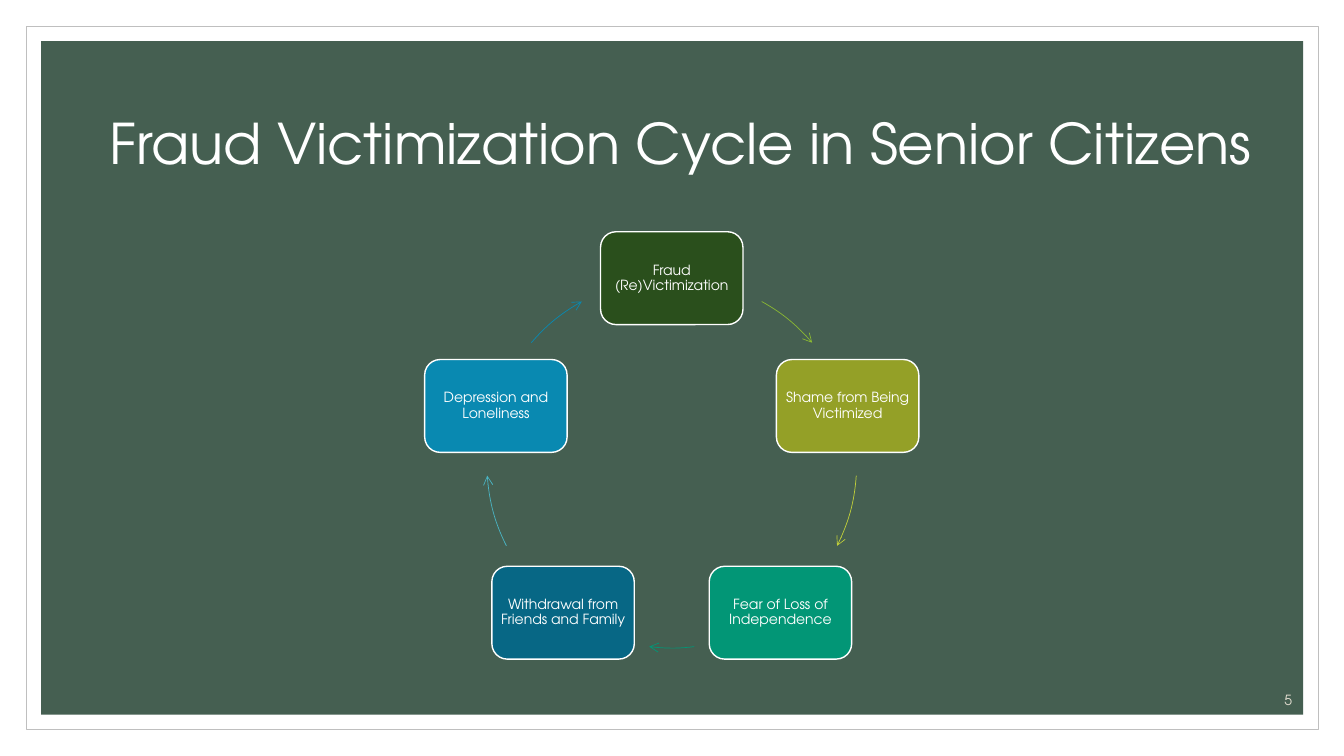
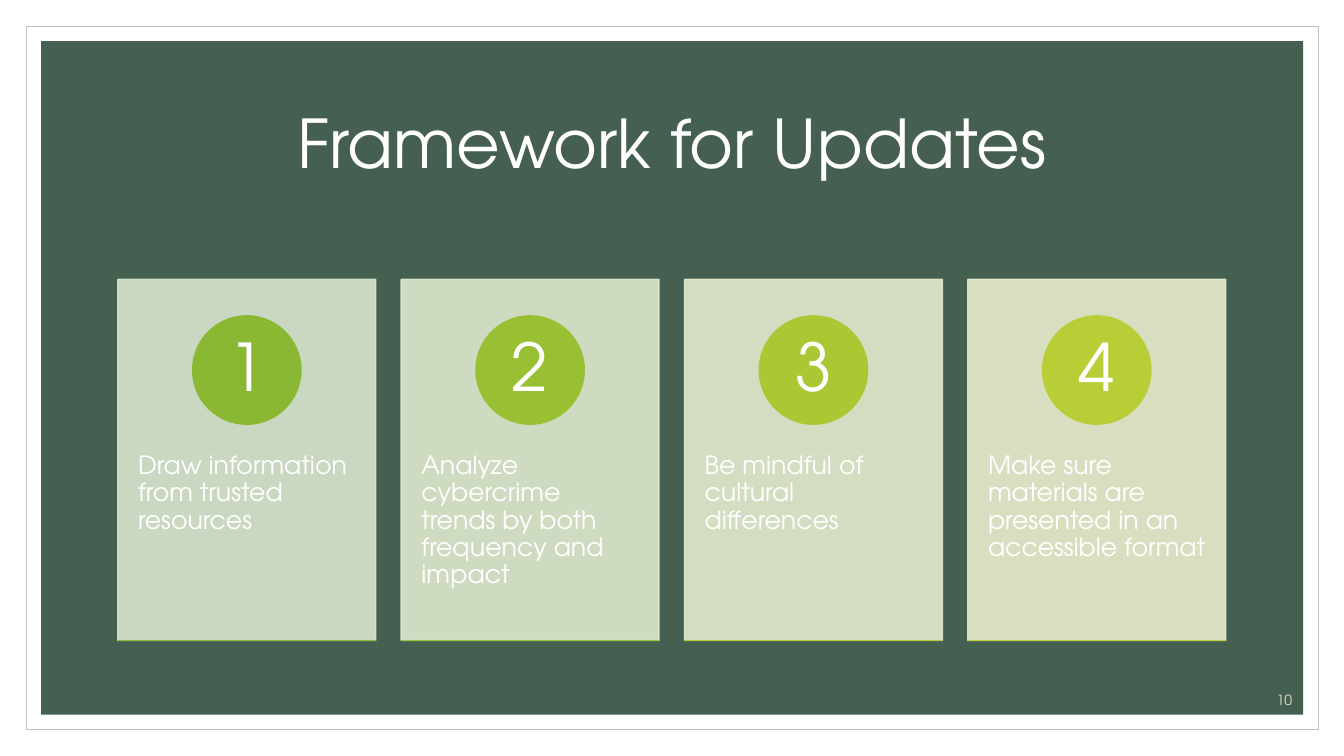
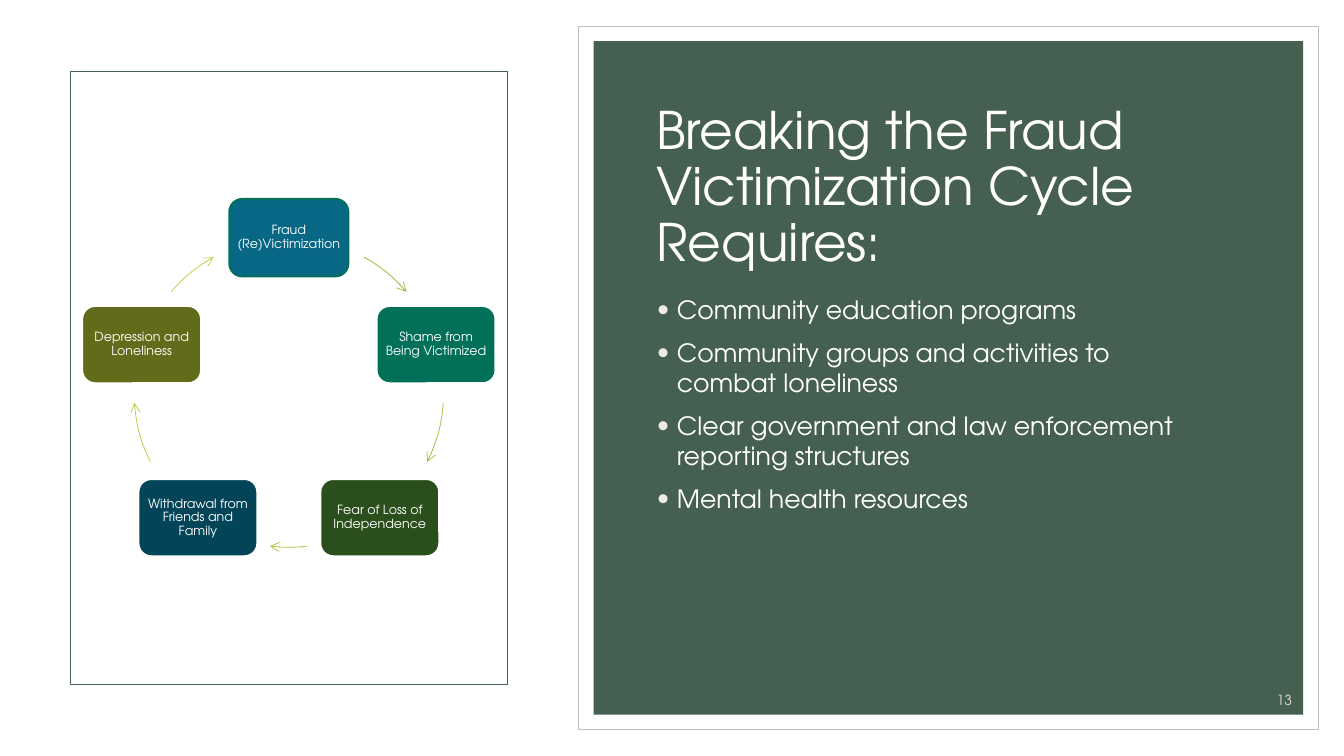
from dataclasses import dataclass
from math import cos, radians, sin, tan

from lxml.etree import SubElement
from pptx import Presentation
from pptx.dml.color import RGBColor
from pptx.enum.shapes import MSO_CONNECTOR, MSO_SHAPE
from pptx.enum.text import MSO_ANCHOR, PP_ALIGN
from pptx.oxml.ns import qn
from pptx.util import Cm, Pt


@dataclass(frozen=True)
class Theme:
    """Colours, font and type sizes shared by the deck."""

    font: str = "TeX Gyre Adventor"
    white: str = "FFFFFF"
    green: str = "455F51"
    frame: str = "BFBFBF"
    number: str = "E3DED1"
    bullet: str = "EEEBE3"
    lime: str = "8AB833"
    olive: str = "C0CF3A"
    teal: str = "029676"
    dark_teal: str = "017058"
    blue: str = "0989B1"
    dark_blue: str = "076785"
    forest: str = "2A4F1C"
    number_size: int = 10
    body_size: int = 18
    digit_size: int = 47


@dataclass(frozen=True)
class Cycle:
    """Place, type size and colours of a five-step cycle."""

    center: tuple
    radius: float
    box_size: tuple
    text_size: int
    border_width: float
    fills: tuple
    borders: tuple
    arrows: tuple


THEME = Theme()
STEPS = (
    "Fraud (Re)Victimization",
    "Shame from Being Victimized",
    "Fear of Loss of Independence",
    "Withdrawal from Friends and Family",
    "Depression and Loneliness",
)
ARROW_ANGLES = ((29.1, 49.4), (93.9, 116.6), (173, 187), (243.4, 266.1), (310.6, 330.9))
LARGE_CYCLE = Cycle(
    center=(16.93, 11.67), radius=4.66, box_size=(3.59, 2.34), text_size=10, border_width=1,
    fills=(THEME.forest, "94A027", THEME.teal, THEME.dark_blue, THEME.blue),
    borders=(THEME.white,) * 5,
    arrows=(THEME.lime, THEME.olive, THEME.teal, "4AB5C4", THEME.blue),
)
SMALL_CYCLE = Cycle(
    center=(7.28, 9.89), radius=3.9, box_size=(3, 1.95), text_size=9, border_width=1.5,
    fills=(THEME.dark_blue, THEME.dark_teal, THEME.forest, "044458", "626B1A"),
    borders=(THEME.dark_teal,) + (THEME.white,) * 4,
    arrows=(THEME.lime, "97BF33", "A6C634", "B4CC35", THEME.olive),
)
CARDS = (
    ("Draw information from trusted resources", "DAE6CE", THEME.lime, "92BC33"),
    ("Analyze cybercrime trends by both frequency and impact", "DEE9CE", "99C033", "A1C434"),
    ("Be mindful of cultural differences", "E3EBCE", "AAC834", "B2CC35"),
    ("Make sure materials are presented in an accessible format", "E8EDCE", "B9CD37", THEME.olive),
)
REQUIREMENTS = (
    "Community education programs",
    "Community groups and activities to combat loneliness",
    "Clear government and law enforcement reporting structures",
    "Mental health resources",
)


def add_bullet(para, indent=0.51):
    """Give a paragraph a coloured bullet and a hanging indent."""
    props = para._p.get_or_add_pPr()
    props.set("marL", str(Cm(indent)))
    props.set("indent", str(-Cm(indent)))
    color = SubElement(props, qn("a:buClr"))
    SubElement(color, qn("a:srgbClr"), val=THEME.bullet)
    SubElement(props, qn("a:buFont"), typeface=THEME.font)
    SubElement(props, qn("a:buChar"), char="•")


def write_text(shape, *lines, size, color=THEME.white, align=PP_ALIGN.LEFT, anchor=MSO_ANCHOR.TOP,
               margins=(0.25, 0.13, 0.25, 0.13), spacing=None, before=None, bullets=False):
    """Write one paragraph per line into a shape."""
    frame = shape.text_frame
    frame.word_wrap = True
    frame.vertical_anchor = anchor
    frame.margin_left, frame.margin_top, frame.margin_right, frame.margin_bottom = map(Cm, margins)
    for index, line in enumerate(lines):
        para = frame.add_paragraph() if index else frame.paragraphs[0]
        para.alignment = align
        if spacing:
            para.line_spacing = spacing
        if before:
            para.space_before = Pt(before)
        if bullets:
            add_bullet(para)
        span = para.add_run()
        span.text = line
        span.font.name = THEME.font
        span.font.size = Pt(size)
        span.font.color.rgb = RGBColor.from_string(color)


def add_text(page, place, *lines, **text_format):
    """Add a text box at left, top, width and height."""
    write_text(page.shapes.add_textbox(*map(Cm, place)), *lines, **text_format)


def set_alpha(fill, percent):
    """Make a solid fill partly transparent."""
    color = fill._xPr.find(qn("a:solidFill"))[0]
    SubElement(color, qn("a:alpha"), val=str(percent * 1000))


def add_box(page, kind, place, fill=None, line=None, width=1, alpha=None):
    """Add a preset shape with its fill and outline."""
    box = page.shapes.add_shape(kind, *map(Cm, place))
    box.shadow.inherit = False
    for paint, color in ((box.fill, fill), (box.line.fill, line)):
        if color is None:
            paint.background()
            continue
        paint.solid()
        paint.fore_color.rgb = RGBColor.from_string(color)
        if alpha:
            set_alpha(paint, alpha)
    if line:
        box.line.width = Pt(width)
    return box


def add_rule(page, left, top, width, color):
    """Add a horizontal line."""
    rule = page.shapes.add_connector(
        MSO_CONNECTOR.STRAIGHT, Cm(left), Cm(top), Cm(left + width), Cm(top))
    rule.line.color.rgb = RGBColor.from_string(color)
    rule.line.width = Pt(1)
    SubElement(rule._element.spPr, qn("a:effectLst"))


def on_circle(center, radius, angle):
    """Return the point at a clockwise angle from the top."""
    turn = radians(angle)
    return center[0] + radius * sin(turn), center[1] - radius * cos(turn)


def add_arc_arrow(page, center, radius, start, end, color):
    """Add a curved arrow along a circle, in a frame that spans the circle."""
    reach = 4 / 3 * tan(radians(end - start) / 4) * radius
    first, last = (on_circle(center, radius, angle) for angle in (start, end))
    leave = on_circle(first, reach, start + 90)
    arrive = on_circle(last, reach, end - 90)
    points = [(Cm(x), Cm(y)) for x, y in (first, leave, arrive, last)]
    near, far = ([Cm(middle + side) for middle in center] for side in (-radius, radius))
    builder = page.shapes.build_freeform(*near)
    builder.move_to(*far)
    builder.move_to(*points[0])
    builder.add_line_segments(points[1:], close=False)
    arrow = builder.convert_to_shape()
    segments = list(arrow._element.iter(qn("a:lnTo")))
    outline = segments[0].getparent()
    for corner in outline.findall(qn("a:moveTo"))[:2]:
        outline.remove(corner)
    curve = SubElement(outline, qn("a:cubicBezTo"))
    for segment in segments:
        curve.append(segment[0])
        outline.remove(segment)
    arrow.shadow.inherit = False
    arrow.fill.background()
    arrow.line.color.rgb = RGBColor.from_string(color)
    arrow.line.width = Pt(0.5)
    SubElement(arrow.line._get_or_add_ln(), qn("a:tailEnd"), type="arrow")


def add_cycle(page, cycle):
    """Add the five steps and the arrows between them."""
    width, height = cycle.box_size
    for index, step in enumerate(STEPS):
        x, y = on_circle(cycle.center, cycle.radius, index * 360 / len(STEPS))
        box = add_box(page, MSO_SHAPE.ROUNDED_RECTANGLE,
                      (x - width / 2, y - height / 2, width, height),
                      cycle.fills[index], cycle.borders[index], cycle.border_width)
        write_text(box, step, size=cycle.text_size, align=PP_ALIGN.CENTER,
                   anchor=MSO_ANCHOR.MIDDLE, margins=(0.1,) * 4, spacing=0.9)
        add_arc_arrow(page, cycle.center, cycle.radius, *ARROW_ANGLES[index], cycle.arrows[index])


def add_card(page, left, number, text, fill, accent, rule):
    """Add a numbered card with a coloured base line."""
    top, width, height, diameter = 7.04, 6.5, 9.1, 2.73
    card = add_box(page, MSO_SHAPE.RECTANGLE, (left, top, width, height), fill, fill, alpha=90)
    write_text(card, text, size=THEME.body_size, margins=(0.51, 4.37, 0.51, 0.91), spacing=0.9)
    circle = add_box(page, MSO_SHAPE.OVAL,
                     (left + (width - diameter) / 2, top + 0.92, diameter, diameter),
                     accent, accent)
    write_text(circle, str(number), size=THEME.digit_size, align=PP_ALIGN.CENTER,
               anchor=MSO_ANCHOR.MIDDLE, margins=(0.2, 0.03, 0.2, 0.03), spacing=0.9)
    add_rule(page, left, top + height, width, rule)


def add_page(deck, number, title, title_place, title_size, align=PP_ALIGN.CENTER, frame_left=0.66):
    """Add a slide with its framed panel, title and number."""
    page = deck.slides.add_slide(deck.slide_layouts[6])
    top, width, height, inset = 0.66, 33.22 - frame_left, 17.73, 0.38
    add_box(page, MSO_SHAPE.RECTANGLE, (frame_left, top, width, height),
            THEME.white, THEME.frame, 0.5)
    add_box(page, MSO_SHAPE.RECTANGLE,
            (frame_left + inset, top + inset, width - 2 * inset, height - 2 * inset), THEME.green)
    add_text(page, title_place, title, size=title_size, align=align,
             anchor=MSO_ANCHOR.MIDDLE, spacing=0.9)
    add_text(page, (28.75, 17.27, 4.06, 0.71), str(number), size=THEME.number_size,
             color=THEME.number, align=PP_ALIGN.RIGHT, anchor=MSO_ANCHOR.BOTTOM)
    return page


def add_cycle_page(deck):
    """Add the slide on the victimization cycle."""
    page = add_page(deck, 5, "Fraud Victimization Cycle in Senior Citizens",
                    (1.9, 1.79, 30.5, 3.81), 40)
    add_cycle(page, LARGE_CYCLE)


def add_framework_page(deck):
    """Add the slide with the four numbered cards."""
    page = add_page(deck, 10, "Framework for Updates", (2.97, 1.79, 27.94, 3.81), 48)
    for index, card in enumerate(CARDS):
        add_card(page, 2.97 + index * 7.14, index + 1, *card)


def add_requirements_page(deck):
    """Add the slide on breaking the cycle."""
    page = add_page(deck, 13, "Breaking the Fraud Victimization Cycle Requires:",
                    (16.29, 2.47, 15.14, 4.57), 37, align=PP_ALIGN.LEFT, frame_left=14.58)
    add_text(page, (16.3, 7.29, 14.5, 8.69), *REQUIREMENTS, size=THEME.body_size,
             before=9, bullets=True)
    add_box(page, MSO_SHAPE.RECTANGLE, (1.78, 1.79, 11, 15.46), line=THEME.green, width=0.5)
    add_cycle(page, SMALL_CYCLE)


def main():
    """Build and save the deck."""
    deck = Presentation()
    deck.slide_width, deck.slide_height = Cm(33.87), Cm(19.05)
    add_cycle_page(deck)
    add_framework_page(deck)
    add_requirements_page(deck)
    deck.save("out.pptx")


if __name__ == "__main__":
    main()
